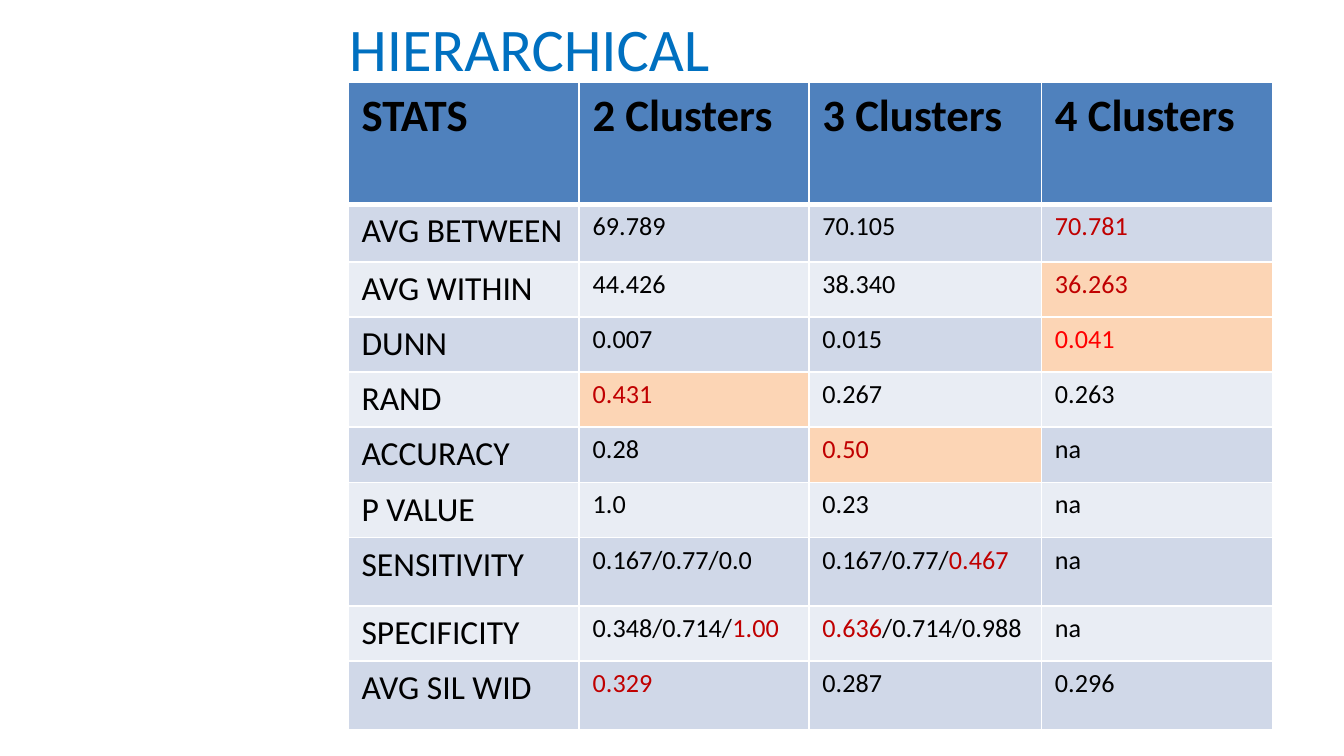
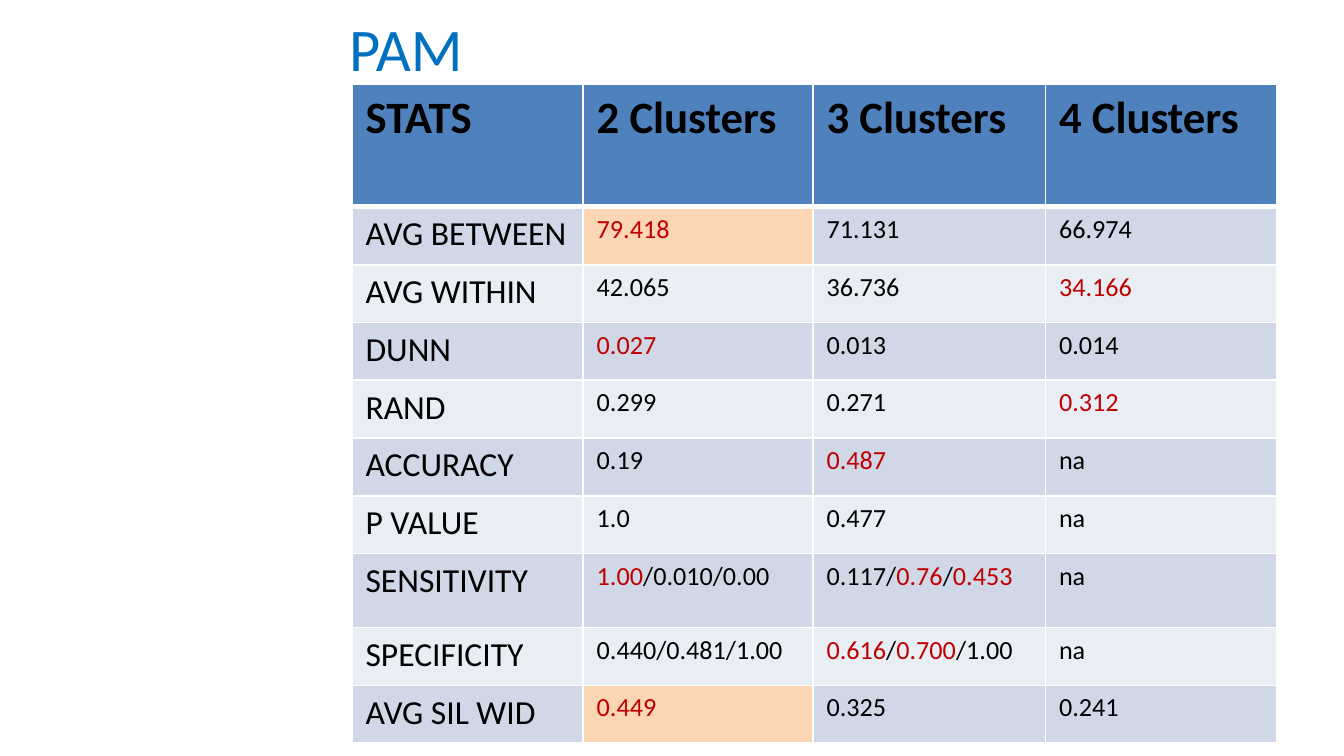
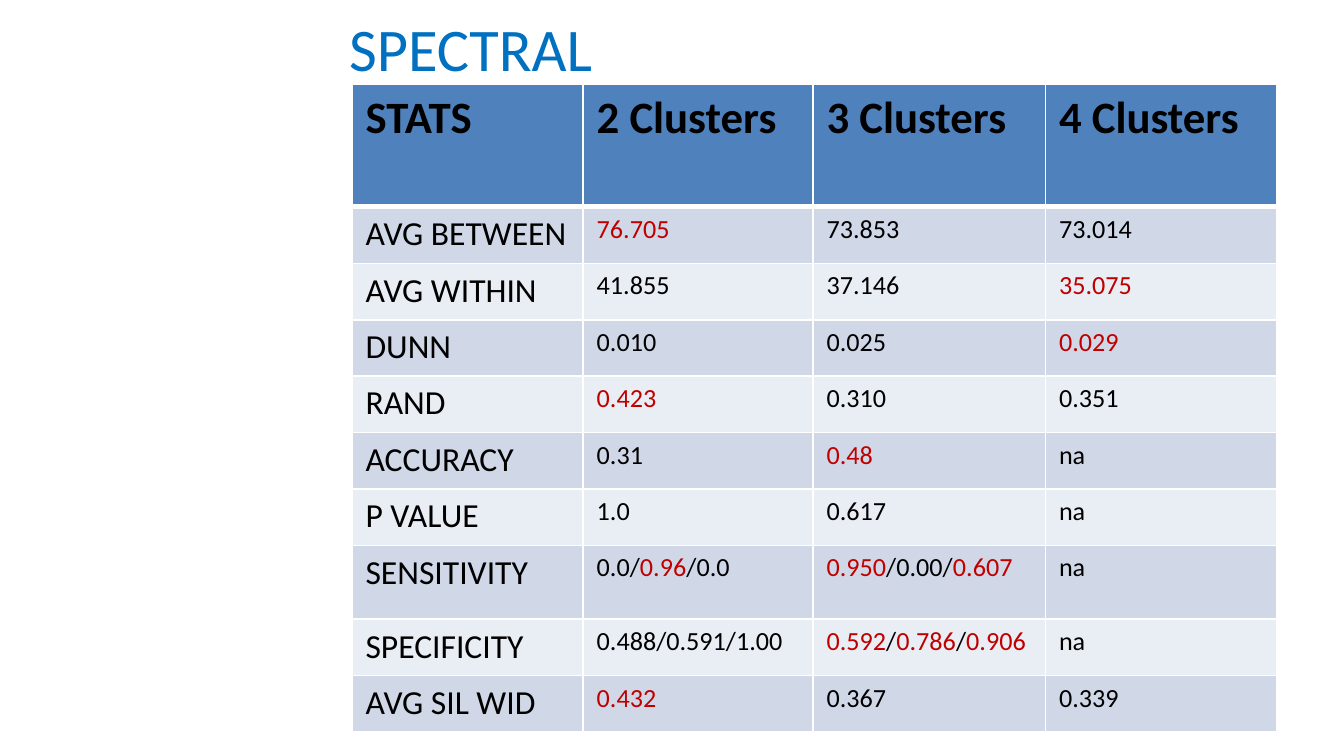
from lxml import etree
from pptx import Presentation
from pptx import util as u
from pptx.dml.color import RGBColor
from pptx.enum import text
from pptx.oxml.ns import qn

# Shared look
SLIDE_W = 10
SLIDE_H = SLIDE_W * 9 / 16
FONT = "Calibri"
BLACK, WHITE, TITLE_BLUE = "000000", "FFFFFF", "0070C0"
RED, BRIGHT_RED = "C00000", "FF0000"
HEADER_FILL, HIGHLIGHT = "4F81BD", "FCD5B5"
BANDS = ("D0D8E8", "E9EDF4")
TITLE_BOX = (0.25, 0, 0.7, 0.125)  # shares of the slide's size
COLUMN_WIDTHS = (1.72, 1.71, 1.73, 1.72)
HEADER_HEIGHT = 0.91

HEADINGS = ("STATS", "2 Clusters", "3 Clusters", "4 Clusters")
STATS = ("AVG BETWEEN", "AVG WITHIN", "DUNN", "RAND", "ACCURACY",
         "P VALUE", "SENSITIVITY", "SPECIFICITY", "AVG SIL WID")

# *value* is a best score in red; a leading + or ! highlights the whole cell
HIGHLIGHT_MARKS = {"+": RED, "!": BRIGHT_RED}

METHODS = (
    dict(title="HIERARCHICAL", corner=(2.59, 0.61), row_height=0.41,
         tall_rows={"AVG BETWEEN": 0.43, "SENSITIVITY": 0.51, "AVG SIL WID": 0.51},
         scores=(
             ("69.789", "70.105", "*70.781*"),
             ("44.426", "38.340", "+36.263"),
             ("0.007", "0.015", "!0.041"),
             ("+0.431", "0.267", "0.263"),
             ("0.28", "+0.50", "na"),
             ("1.0", "0.23", "na"),
             ("0.167/0.77/0.0", "0.167/0.77/*0.467*", "na"),
             ("0.348/0.714/*1.00*", "*0.636*/0.714/0.988", "na"),
             ("*0.329*", "0.287", "0.296"))),
    dict(title="PAM", corner=(2.62, 0.63), row_height=0.43,
         tall_rows={"SENSITIVITY": 0.55},
         scores=(
             ("+79.418", "71.131", "66.974"),
             ("42.065", "36.736", "*34.166*"),
             ("*0.027*", "0.013", "0.014"),
             ("0.299", "0.271", "*0.312*"),
             ("0.19", "*0.487*", "na"),
             ("1.0", "0.477", "na"),
             ("*1.00*/0.010/0.00", "0.117/*0.76*/*0.453*", "na"),
             ("0.440/0.481/1.00", "*0.616*/*0.700*/1.00", "na"),
             ("+0.449", "0.325", "0.241"))),
    dict(title="SPECTRAL", corner=(2.62, 0.63), row_height=0.42,
         tall_rows={"SENSITIVITY": 0.55},
         scores=(
             ("*76.705*", "73.853", "73.014"),
             ("41.855", "37.146", "*35.075*"),
             ("0.010", "0.025", "*0.029*"),
             ("*0.423*", "0.310", "0.351"),
             ("0.31", "*0.48*", "na"),
             ("1.0", "0.617", "na"),
             ("0.0/*0.96*/0.0", "*0.950*/0.00/*0.607*", "na"),
             ("0.488/0.591/1.00", "*0.592*/*0.786*/*0.906*", "na"),
             ("*0.432*", "0.367", "0.339"))),
)


def rgb(hex_color):
    return RGBColor.from_string(hex_color)


def write_text(frame, content, size=14, color=BLACK, bold=False):
    """Write one paragraph; parts between asterisks turn red."""
    paragraph = frame.paragraphs[0]
    for index, part in enumerate(content.split("*")):
        if part:
            run = paragraph.add_run()
            run.text = part
            run.font.name = FONT
            run.font.size = u.Pt(size)
            run.font.bold = bold
            run.font.color.rgb = rgb(RED if index % 2 else color)


def add_title(slide, title):
    left, top, width, height = TITLE_BOX
    box = slide.shapes.add_textbox(
        u.Inches(left * SLIDE_W), u.Inches(top * SLIDE_H),
        u.Inches(width * SLIDE_W), u.Inches(height * SLIDE_H))
    box.text_frame.word_wrap = True
    box.text_frame.vertical_anchor = text.MSO_ANCHOR.MIDDLE
    write_text(box.text_frame, title, size=32.4, color=TITLE_BLUE)


def set_borders(cell, top=1, bottom=1):
    properties = cell._tc.get_or_add_tcPr()
    for side, width in (("L", 1), ("R", 1), ("T", top), ("B", bottom)):
        line = etree.SubElement(properties, qn(f"a:ln{side}"), w=str(u.Pt(width)))
        fill = etree.SubElement(line, qn("a:solidFill"))
        etree.SubElement(fill, qn("a:srgbClr"), val=WHITE)


def fill_cell(cell, content, fill, top=1, bottom=1, **text_format):
    set_borders(cell, top, bottom)
    cell.fill.solid()
    cell.fill.fore_color.rgb = rgb(fill)
    write_text(cell.text_frame, content, **text_format)


def add_score_table(slide, corner, row_height, tall_rows, scores):
    heights = [HEADER_HEIGHT] + [tall_rows.get(stat, row_height) for stat in STATS]
    left, top = corner
    table = slide.shapes.add_table(
        len(heights), len(HEADINGS), u.Inches(left), u.Inches(top),
        u.Inches(sum(COLUMN_WIDTHS)), u.Inches(sum(heights))).table
    for column, width in zip(table.columns, COLUMN_WIDTHS):
        column.width = u.Inches(width)
    for row, height in zip(table.rows, heights):
        row.height = u.Inches(height)

    # Header row
    for column, heading in enumerate(HEADINGS):
        fill_cell(table.cell(0, column), heading, HEADER_FILL,
                  bottom=3, size=24, bold=True)

    # One banded row for each statistic
    for row, (stat, values) in enumerate(zip(STATS, scores), start=1):
        band = BANDS[(row - 1) % 2]
        top_line = 3 if row == 1 else 1
        fill_cell(table.cell(row, 0), stat, band, top=top_line, size=18)
        for column, value in enumerate(values, start=1):
            mark = HIGHLIGHT_MARKS.get(value[0])
            fill_cell(table.cell(row, column), value.lstrip("+!"),
                      HIGHLIGHT if mark else band, top=top_line, color=mark or BLACK)


def main():
    deck = Presentation()
    deck.slide_width, deck.slide_height = u.Inches(SLIDE_W), u.Inches(SLIDE_H)
    for method in METHODS:
        slide = deck.slides.add_slide(deck.slide_layouts[6])
        add_title(slide, method["title"])
        add_score_table(slide, method["corner"], method["row_height"],
                        method["tall_rows"], method["scores"])
    deck.save("out.pptx")


if __name__ == "__main__":
    main()
